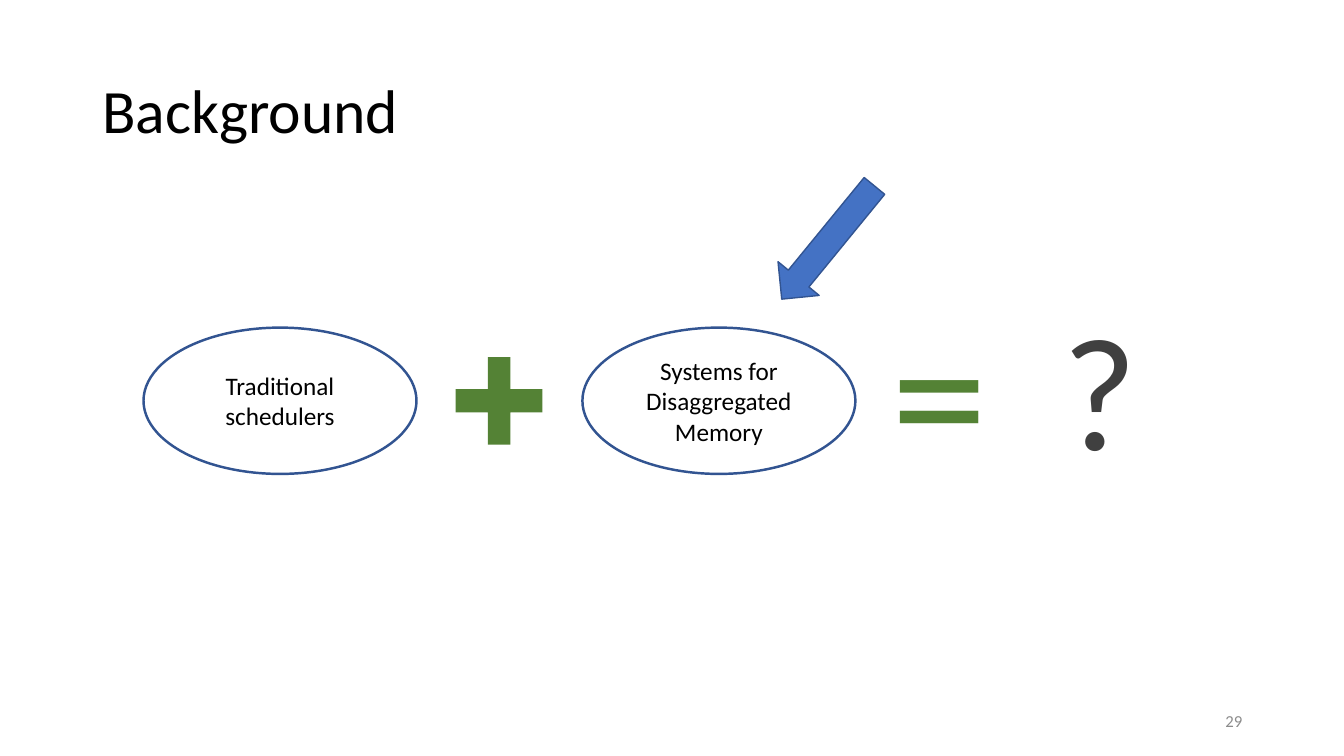
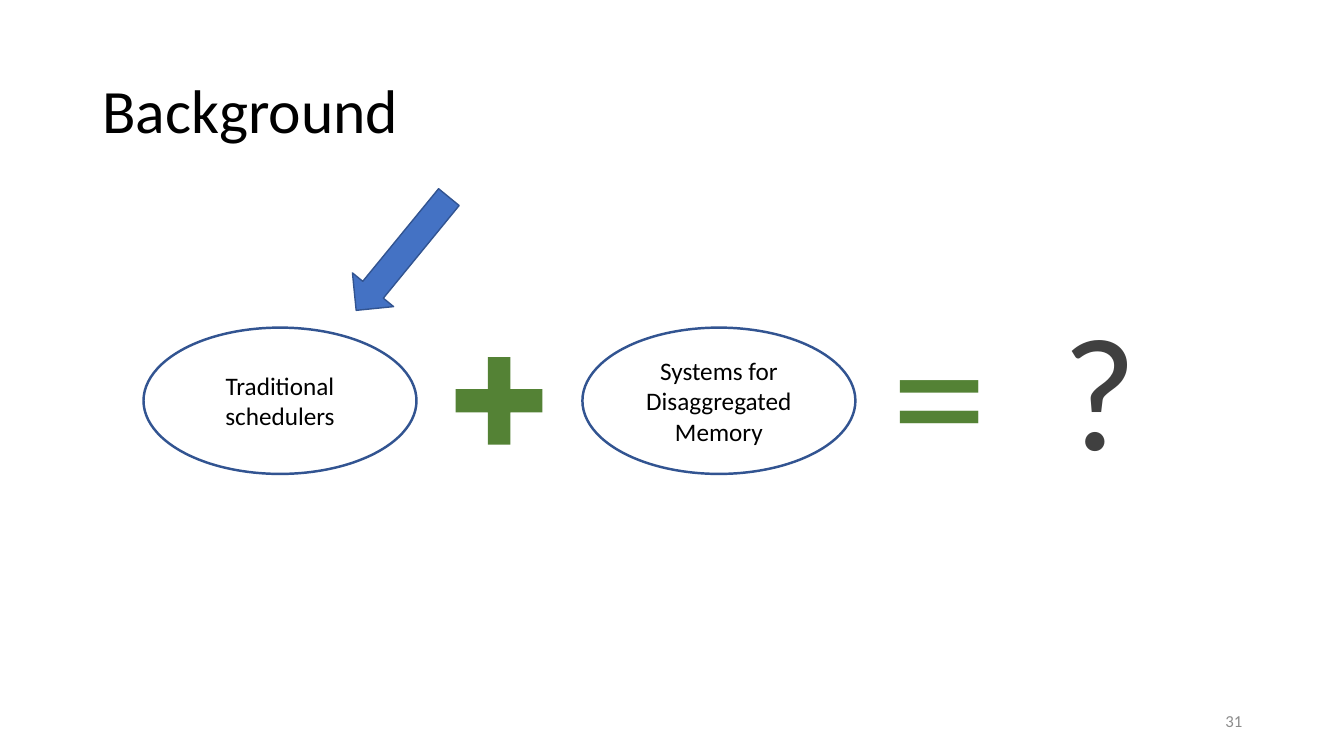
import pptx
import pptx.util
import pptx.dml.color
import pptx.enum.shapes
import pptx.enum.text

Pt = pptx.util.Pt
SHAPE = pptx.enum.shapes.MSO_SHAPE
ALIGN = pptx.enum.text.PP_ALIGN
ANCHOR = pptx.enum.text.MSO_ANCHOR
AUTO = pptx.enum.text.MSO_AUTO_SIZE

# Content: page number, left and top of the arrow
SLIDES = [
    {"number": "29", "arrow": (572.5, 121)},
    {"number": "31", "arrow": (268.5, 129)},
]
TITLE = "Background"
TERMS = ["Traditional schedulers", "Systems for Disaggregated Memory"]
SYMBOLS = [  # text, box, size, colour
    ("=", (630, 189.5, 84, 174), 138, "green"),
    ("?", (751.5, 203, 68.5, 147), 115, "dark"),
]

# Shared style
FONT = "Calibri"
COLORS = {"text": "000000", "number": "8C8C8C", "dark": "404040",
          "green": "548235", "blue": "4472C4", "outline": "325491"}
TITLE_BOX = (66, 28.8, 828, 104.4)
NUMBER_BOX = (678.5, 500.5, 216, 29)
PLUS_BOX = (325.5, 255, 62, 62.5)
TERM_LEFT, TERM_TOP, TERM_W, TERM_H = 102.5, 234, 195, 104.5
TERM_STEP = 313.5
ARROW_W, ARROW_H, ARROW_TURN = 38, 104.5, 219.3


def rgb(name):
    return pptx.dml.color.RGBColor.from_string(COLORS[name])


def put_text(sp, text, size=18, color="text", align=ALIGN.LEFT,
             anchor=ANCHOR.MIDDLE, wrap=True, spacing=None):
    tf = sp.text_frame
    tf.word_wrap = wrap
    tf.auto_size = AUTO.NONE if wrap else AUTO.SHAPE_TO_FIT_TEXT
    tf.vertical_anchor = anchor
    p = tf.paragraphs[0]
    p.alignment = align
    p.line_spacing = spacing
    r = p.add_run()
    r.text = text
    r.font.name = FONT
    r.font.size = Pt(size)
    r.font.color.rgb = rgb(color)


def add_text(s, box, text, **style):
    put_text(s.shapes.add_textbox(*map(Pt, box)), text, **style)


def add_shape(s, kind, box, fill=None, line=None, width=1):
    sp = s.shapes.add_shape(kind, *map(Pt, box))
    sp.shadow.inherit = False
    if fill:
        sp.fill.solid()
        sp.fill.fore_color.rgb = rgb(fill)
    else:
        sp.fill.background()
    if line:
        sp.line.color.rgb = rgb(line)
        sp.line.width = Pt(width)
    else:
        sp.line.fill.background()
    return sp


def add_slide(prs, number, arrow):
    s = prs.slides.add_slide(prs.slide_layouts[5])

    # Title and page number
    title = s.shapes.title
    title.left, title.top, title.width, title.height = map(Pt, TITLE_BOX)
    put_text(title, TITLE, size=44, spacing=0.9)
    add_text(s, NUMBER_BOX, number, size=12, color="number", align=ALIGN.RIGHT)

    # Equation: term + term = ?
    plus = add_shape(s, SHAPE.CROSS, PLUS_BOX, fill="green")
    plus.adjustments[0] = 0.37
    for i, term in enumerate(TERMS):
        box = (TERM_LEFT + i * TERM_STEP, TERM_TOP, TERM_W, TERM_H)
        sp = add_shape(s, SHAPE.OVAL, box, line="outline", width=1.75)
        put_text(sp, term, align=ALIGN.CENTER)
    for text, box, size, color in SYMBOLS:
        add_text(s, box, text, size=size, color=color,
                 anchor=ANCHOR.TOP, wrap=False)

    # Arrow to the term under discussion
    pointer = add_shape(s, SHAPE.UP_ARROW, (*arrow, ARROW_W, ARROW_H),
                        fill="blue", line="outline")
    pointer.rotation = ARROW_TURN


def main():
    prs = pptx.Presentation()
    prs.slide_width, prs.slide_height = Pt(960), Pt(540)
    for content in SLIDES:
        add_slide(prs, **content)
    prs.save("out.pptx")


if __name__ == "__main__":
    main()
